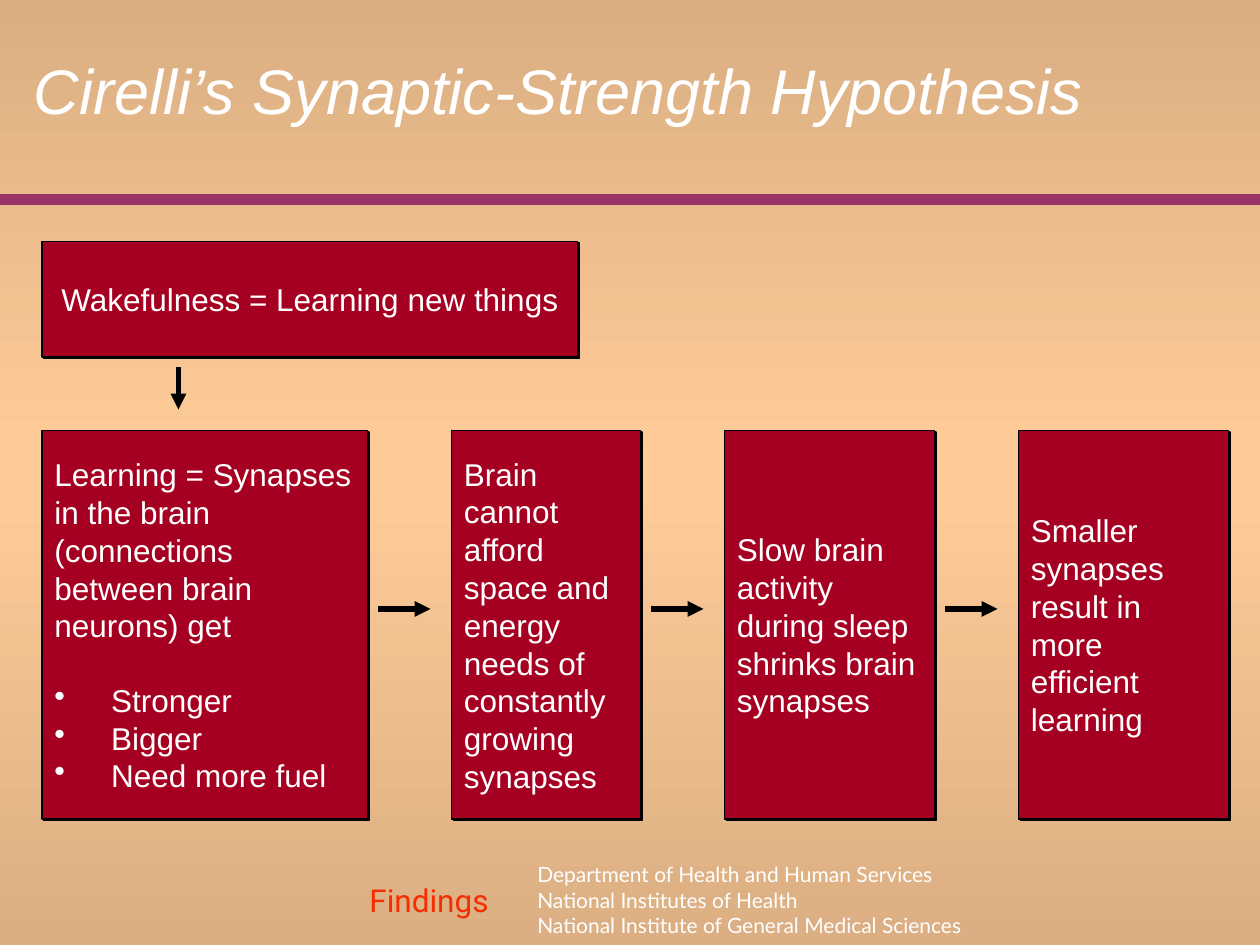
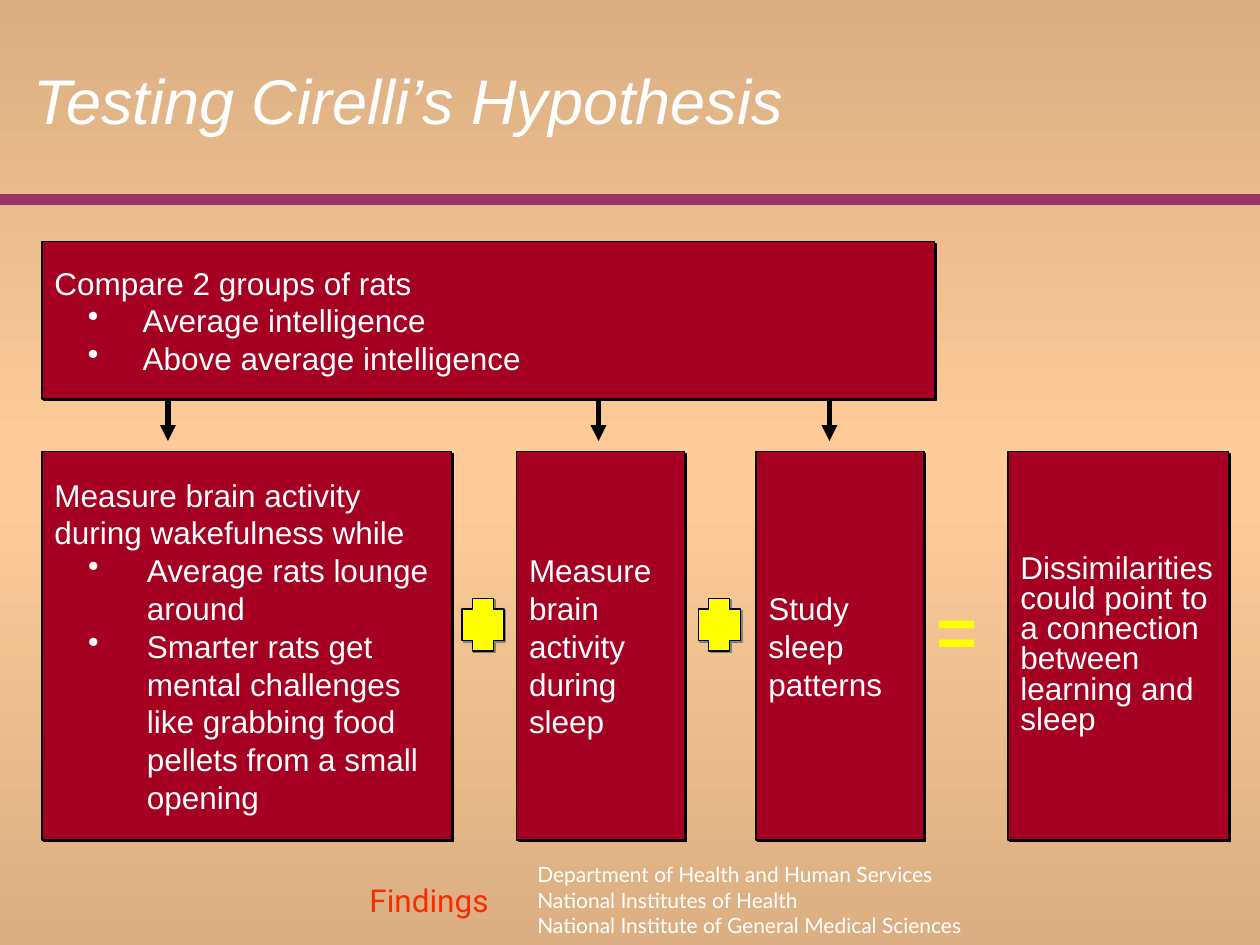
from copy import deepcopy

from lxml import etree
from pptx import Presentation
from pptx.dml.color import RGBColor
from pptx.enum.shapes import MSO_CONNECTOR, MSO_SHAPE
from pptx.enum.text import MSO_ANCHOR, MSO_AUTO_SIZE, PP_ALIGN
from pptx.oxml.ns import qn
from pptx.util import Emu, Pt

PX = 7620
WIDTH, HEIGHT = 1200, 900
TITLE_ONLY = 5
RECTANGLE, PLUS = MSO_SHAPE.RECTANGLE, MSO_SHAPE.CROSS
STRAIGHT = MSO_CONNECTOR.STRAIGHT
LEFT, CENTER = PP_ALIGN.LEFT, PP_ALIGN.CENTER
TOP, MIDDLE = MSO_ANCHOR.TOP, MSO_ANCHOR.MIDDLE
NO_AUTOFIT = MSO_AUTO_SIZE.NONE

EDGE = RGBColor(0xDB, 0xAF, 0x83)
GLOW = RGBColor(0xFF, 0xCC, 0x99)
PLUM = RGBColor(0x99, 0x33, 0x66)
CRIMSON = RGBColor(0xA5, 0x00, 0x21)
ORANGE = RGBColor(0xF4, 0x2E, 0x00)
YELLOW = RGBColor(0xFF, 0xFF, 0x00)
WHITE = RGBColor(0xFF, 0xFF, 0xFF)
BLACK = RGBColor(0x00, 0x00, 0x00)
GRAY = RGBColor(0x80, 0x80, 0x80)

AGENCY_LINES = [
    "Department of Health and Human Services",
    "National Institutes of Health",
    "National Institute of General Medical Sciences",
]

BOX_LEFT = 40
BOX_HEIGHT = 370

SLIDES = [
    {
        "title": "Cirelli’s Synaptic-Strength Hypothesis",
        "title_place": (20, 10, 1080, 150),
        "top_box": {
            "width": 510, "height": 110,
            "lines": ["Wakefulness = Learning new things"],
            "format": {"align": CENTER},
        },
        "row_top": 410,
        "row": [
            {"left": BOX_LEFT, "width": 310,
             "lines": ["Learning = Synapses in the brain (connections between brain neurons) get"],
             "bullets": ["Stronger", "Bigger", "Need more fuel"],
             "format": {"bullet_left": 0, "bullet_text": 54, "bullet_gap": 21}},
            {"left": 430, "width": 180,
             "lines": ["Brain cannot afford space and energy needs of constantly growing synapses"]},
            {"left": 690, "width": 200,
             "lines": ["Slow brain activity during sleep shrinks brain synapses"]},
            {"left": 970, "width": 200,
             "lines": ["Smaller synapses result in more efficient learning"]},
        ],
        "down_arrows": {"xs": [170], "top": 350, "bottom": 390},
        "right_arrows": True,
        "pluses": [],
        "equals": None,
    },
    {
        "title": "Testing Cirelli’s Hypothesis",
        "title_place": (20, 20, 1130, 150),
        "top_box": {
            "width": 850, "height": 150,
            "lines": ["Compare 2 groups of rats"],
            "bullets": ["Average intelligence", "Above average intelligence"],
            "format": {"bullet_left": 32, "bullet_text": 84},
        },
        "row_top": 430,
        "row": [
            {"left": BOX_LEFT, "width": 390,
             "lines": ["Measure brain activity during wakefulness while"],
             "bullets": [
                 "Average rats lounge around",
                 "Smarter rats get mental challenges like grabbing food pellets from a small opening",
             ],
             "format": {"bullet_left": 32, "bullet_text": 88}},
            {"left": 492, "width": 160, "lines": ["Measure brain activity during sleep"]},
            {"left": 720, "width": 160, "lines": ["Study sleep patterns"]},
            {"left": 960, "width": 210,
             "lines": ["Dissimilarities could point to a connection between learning and sleep"],
             "format": {"line_spacing": 0.8}},
        ],
        "down_arrows": {"xs": [160, 570, 790], "top": 380, "bottom": 420},
        "right_arrows": False,
        "pluses": [440, 665],
        "equals": (880, 554, 50, 92),
    },
]


def scaled(*lengths):
    return [Emu(length * PX) for length in lengths]


def shadow_effect(color):
    effects = etree.Element(qn("a:effectLst"))
    shadow = etree.SubElement(effects, qn("a:outerShdw"), dist="17780", dir="2700000",
                              algn="ctr", rotWithShape="0")
    etree.SubElement(shadow, qn("a:srgbClr"), val=str(color))
    return effects


def add_bullet(paragraph, left, text_left):
    properties = paragraph._p.get_or_add_pPr()
    properties.set("marL", str(text_left * PX))
    properties.set("indent", str((left - text_left) * PX))
    bullet_color = etree.SubElement(properties, qn("a:buClr"))
    etree.SubElement(bullet_color, qn("a:srgbClr"), val=str(WHITE))
    etree.SubElement(properties, qn("a:buChar"), char="•")


def write_text(shape, lines, bullets=(), size=18, font="Arial", color=WHITE, bold=False,
               italic=False, align=LEFT, anchor=TOP, line_spacing=None,
               bullet_left=0, bullet_text=0, bullet_gap=0):
    frame = shape.text_frame
    frame.word_wrap = True
    frame.auto_size = NO_AUTOFIT
    frame.vertical_anchor = anchor
    for index, text in enumerate([*lines, *bullets]):
        paragraph = frame.add_paragraph() if index else frame.paragraphs[0]
        if index >= len(lines):
            add_bullet(paragraph, bullet_left, bullet_text)
        if bullet_gap and index == len(lines):
            paragraph.space_before = Pt(bullet_gap)
        paragraph.alignment = align
        if line_spacing:
            paragraph.line_spacing = line_spacing
        run = paragraph.add_run()
        run.text = text
        run.font.size = Pt(size)
        run.font.bold = bold
        run.font.italic = italic
        run.font.color.rgb = color
        run.font.name = font


def add_label(slide, place, lines, **text_format):
    label = slide.shapes.add_textbox(*scaled(*place))
    write_text(label, lines, **text_format)
    return label


def add_block(slide, kind, place, fill, shadow_color):
    block = slide.shapes.add_shape(kind, *scaled(*place))
    block.fill.solid()
    block.fill.fore_color.rgb = fill
    block.line.color.rgb = BLACK
    block.line.width = Pt(0.75)
    block._element.spPr.append(shadow_effect(shadow_color))
    return block


def add_box(slide, box, left, top, height):
    block = add_block(slide, RECTANGLE, (left, top, box["width"], height), CRIMSON, BLACK)
    write_text(block, box["lines"], box.get("bullets", ()), anchor=MIDDLE, **box.get("format", {}))


def add_line(slide, start, end, color=BLACK, width=3, arrow=True):
    line = slide.shapes.add_connector(STRAIGHT, *scaled(*start, *end))
    line.line.color.rgb = color
    line.line.width = Pt(width)
    if arrow:
        etree.SubElement(line.line._get_or_add_ln(), qn("a:tailEnd"), type="triangle")
    etree.SubElement(line._element.spPr, qn("a:effectLst"))
    return line


def paint_background(layout):
    fill = layout.background.fill
    fill.gradient()
    fill.gradient_angle = 270
    stop_list = layout.element.find(".//" + qn("a:gsLst"))
    stop_list.append(deepcopy(stop_list[0]))
    for stop, position, color in zip(fill.gradient_stops, (0, 0.5, 1), (EDGE, GLOW, EDGE)):
        stop.position = position
        stop.color.rgb = color


def furnish_layout(layout, slide):
    paint_background(layout)
    furniture = [
        add_line(slide, (0, 190), (WIDTH, 190), color=PLUM, width=6, arrow=False),
        add_label(slide, (340, 840, 160, 41), ["Findings"], font="Roboto", color=ORANGE,
                  line_spacing=0.8),
        add_label(slide, (500, 815, 470, 84), AGENCY_LINES, size=12, font="Lato"),
    ]
    for shape in furniture:
        layout.shapes.element.append(shape.element)


def fill_slide(slide, content):
    title = slide.shapes.title
    title.left, title.top, title.width, title.height = scaled(*content["title_place"])
    write_text(title, [content["title"]], size=36, italic=True, anchor=MIDDLE)

    top_box, row, row_top = content["top_box"], content["row"], content["row_top"]
    add_box(slide, top_box, BOX_LEFT, 230, top_box["height"])
    for box in row:
        add_box(slide, box, box["left"], row_top, BOX_HEIGHT)

    arrows = content["down_arrows"]
    for x in arrows["xs"]:
        add_line(slide, (x, arrows["top"]), (x, arrows["bottom"]))
    if content["right_arrows"]:
        for box in row[:-1]:
            start = box["left"] + box["width"] + 10
            add_line(slide, (start, 580), (start + 50, 580))

    for left in content["pluses"]:
        add_block(slide, PLUS, (left, 570, 40, 50), YELLOW, GRAY)
    if content["equals"]:
        equals = add_label(slide, content["equals"], ["="], size=40, color=YELLOW, bold=True)
        text_fill = equals._element.find(".//" + qn("a:rPr")).find(qn("a:solidFill"))
        text_fill.addnext(shadow_effect(GRAY))


def main():
    presentation = Presentation()
    presentation.slide_width, presentation.slide_height = scaled(WIDTH, HEIGHT)
    layout = presentation.slide_layouts[TITLE_ONLY]
    slides = [presentation.slides.add_slide(layout) for _ in SLIDES]
    furnish_layout(layout, slides[0])
    for slide, content in zip(slides, SLIDES):
        fill_slide(slide, content)
    presentation.save("out.pptx")


if __name__ == "__main__":
    main()
